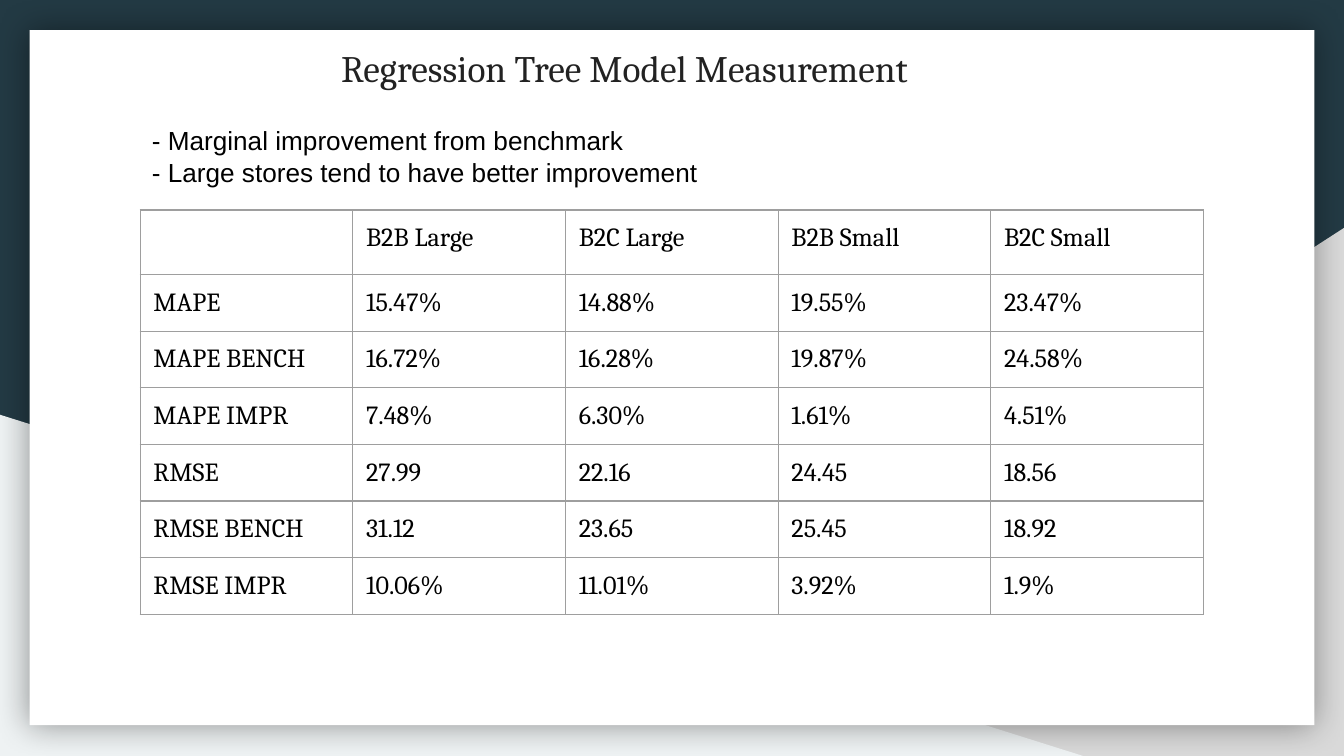
from lxml import etree
from pptx import Presentation, util as u
from pptx.dml.color import RGBColor
from pptx.enum import shapes, text
from pptx.oxml import ns

TITLE = "Regression Tree Model Measurement"
FINDINGS = [
    "- Marginal improvement from benchmark",
    "- Large stores tend to have better improvement",
]
MEASURES = [
    ["", "B2B Large", "B2C Large", "B2B Small", "B2C Small"],
    ["MAPE", "15.47%", "14.88%", "19.55%", "23.47%"],
    ["MAPE BENCH", "16.72%", "16.28%", "19.87%", "24.58%"],
    ["MAPE IMPR", "7.48%", "6.30%", "1.61%", "4.51%"],
    ["RMSE", "27.99", "22.16", "24.45", "18.56"],
    ["RMSE BENCH", "31.12", "23.65", "25.45", "18.92"],
    ["RMSE IMPR", "10.06%", "11.01%", "3.92%", "1.9%"],
]
TRIANGLE, RECTANGLE = shapes.MSO_SHAPE.RIGHT_TRIANGLE, shapes.MSO_SHAPE.RECTANGLE
# preset, left, top, width, height (cm), fill, mirrored
BACKDROP = [
    (TRIANGLE, 9.96, 4.31, 15.44, 9.98, "D9D9D9", True),
    (TRIANGLE, 0, 7.84, 20.47, 6.45, "EEF2F3", False),
    (RECTANGLE, 0.56, 0.57, 24.28, 13.14, "FFFFFF", False),
]
TITLE_FONT = {"name": "Cambria", "size": u.Pt(20), "color": "222222"}
FINDING_FONT = {"name": "Arial", "size": u.Pt(14), "color": "000000"}
CELL_FONT = {"name": "Cambria", "size": u.Pt(14), "color": "000000"}
INSET = u.Cm(0.25)
MARGINS = dict.fromkeys(
    ["margin_left", "margin_right", "margin_top", "margin_bottom"], INSET)
COLUMN_WIDTH, HEADER_HEIGHT, ROW_HEIGHT = 4.02, 1.22, 1.07


def rgb(value):
    return RGBColor.from_string(value)


def set_all(target, values):
    for name, value in values.items():
        setattr(target, name, value)


def write(frame, lines, font):
    for i, line in enumerate(lines):
        paragraph = frame.add_paragraph() if i else frame.paragraphs[0]
        run = paragraph.add_run()
        run.text = line
        for name, value in font.items():
            if name == "color":
                run.font.color.rgb = rgb(value)
            else:
                setattr(run.font, name, value)


def add_xml(parent, tag, **attributes):
    return etree.SubElement(parent, ns.qn(tag), attributes)


def add_text(slide, box, lines, font, anchor):
    frame = slide.shapes.add_textbox(*map(u.Cm, box)).text_frame
    set_all(frame, {"word_wrap": True, "vertical_anchor": anchor, **MARGINS})
    write(frame, lines, font)


def add_backdrop(slide):
    for preset, *box, fill, mirrored in BACKDROP:
        part = slide.shapes.add_shape(preset, *map(u.Cm, box))
        part.shadow.inherit = False
        part.fill.solid()
        part.fill.fore_color.rgb = rgb(fill)
        part.line.fill.background()
        properties = part.element.spPr
        if mirrored:
            properties.find(ns.qn("a:xfrm")).set("flipH", "1")
        if preset == RECTANGLE:
            shadow = add_xml(properties.find(ns.qn("a:effectLst")), "a:outerShdw",
                             blurRad=str(u.Pt(18)), dist="0", algn="ctr", rotWithShape="0")
            add_xml(add_xml(shadow, "a:srgbClr", val="000000"), "a:alpha", val="40000")


def add_borders(cell):
    properties = cell._tc.get_or_add_tcPr()
    for side in ("a:lnL", "a:lnR", "a:lnT", "a:lnB"):
        line = add_xml(properties, side, w=str(u.Pt(0.75)))
        add_xml(add_xml(line, "a:solidFill"), "a:srgbClr", val="9E9E9E")


def add_measures(slide):
    rows, columns = len(MEASURES), len(MEASURES[0])
    height = HEADER_HEIGHT + ROW_HEIGHT * (rows - 1)
    box = map(u.Cm, (2.65, 3.97, COLUMN_WIDTH * columns, height))
    table = slide.shapes.add_table(rows, columns, *box).table
    set_all(table, {"first_row": False, "horz_banding": False})
    for column in table.columns:
        column.width = u.Cm(COLUMN_WIDTH)
    for r, values in enumerate(MEASURES):
        table.rows[r].height = u.Cm(ROW_HEIGHT if r else HEADER_HEIGHT)
        for c, value in enumerate(values):
            cell = table.cell(r, c)
            set_all(cell, MARGINS)
            add_borders(cell)
            cell.fill.background()
            write(cell.text_frame, [value], CELL_FONT)


def main():
    deck = Presentation()
    set_all(deck, {"slide_width": u.Cm(25.4), "slide_height": u.Cm(14.29)})
    slide = deck.slides.add_slide(deck.slide_layouts[6])
    slide.background.fill.solid()
    slide.background.fill.fore_color.rgb = rgb("233A44")
    add_backdrop(slide)
    add_measures(slide)
    add_text(slide, (6.2, 0.53, 12.98, 1.42), [TITLE], TITLE_FONT, text.MSO_ANCHOR.BOTTOM)
    add_text(slide, (2.62, 2.11, 11.05, 1.7), FINDINGS, FINDING_FONT, text.MSO_ANCHOR.TOP)
    deck.save("out.pptx")


if __name__ == "__main__":
    main()
